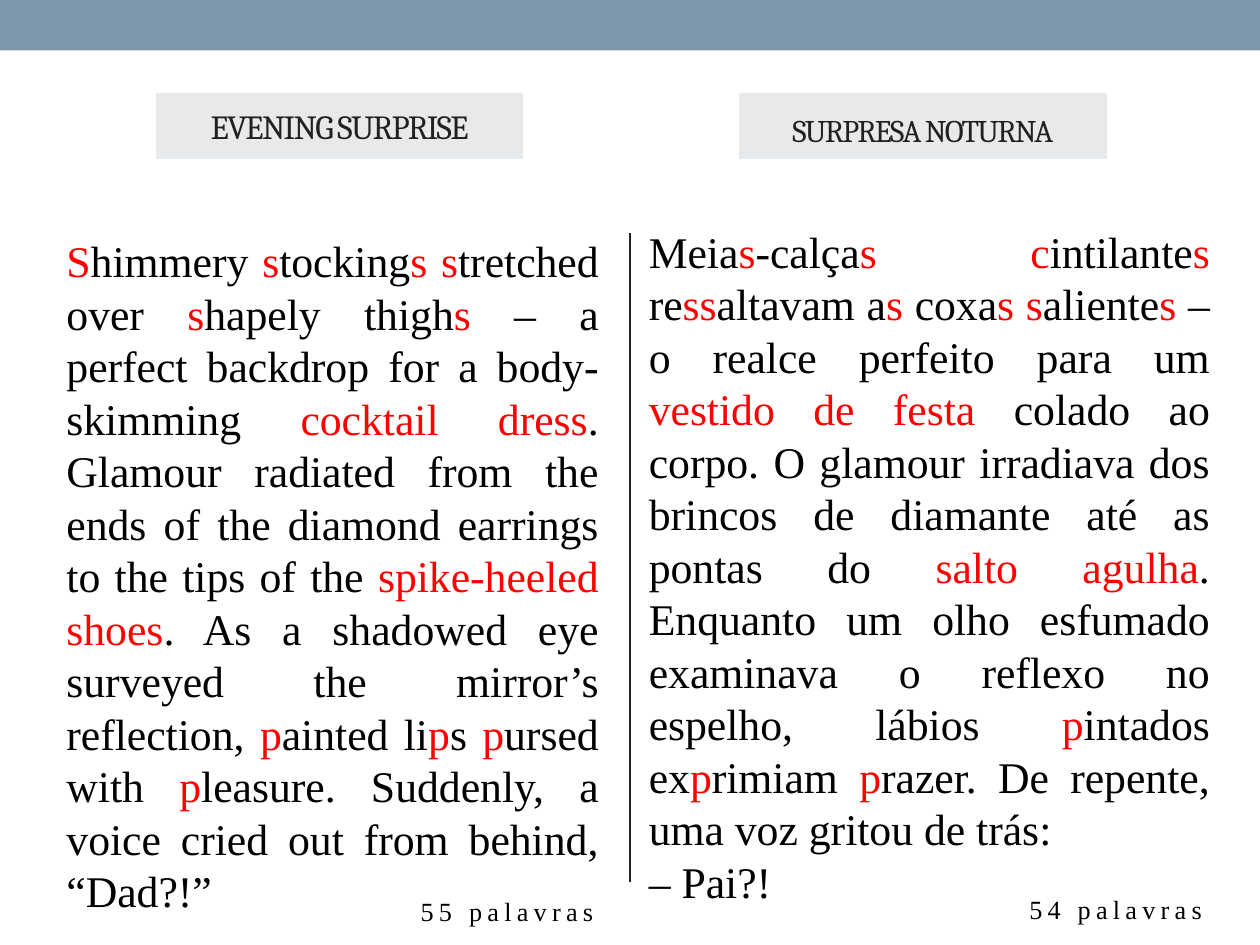
from pptx import Presentation
from pptx import util as u
from pptx.dml.color import RGBColor
from pptx.enum import shapes, text
from pptx.oxml.ns import qn
from lxml import etree

BAR = RGBColor(0x7E, 0x97, 0xAD)
INK = RGBColor(0x1F, 0x21, 0x23)
PANEL = RGBColor(0xE7, 0xE9, 0xEA)
PANEL_EDGE = RGBColor(0xE5, 0xEA, 0xEF)
BLACK = RGBColor(0, 0, 0)
RED = RGBColor(0xFF, 0, 0)

# Content: square brackets enclose the words and letters set in red
COLUMNS = [
    {
        "heading": "EVENING SURPRISE",
        "heading_size": 19.3,
        "heading_spacing": 1.0,
        "heading_left": 3.15,
        "story": [
            "[S]himmery [s]tocking[s s]tretched over [s]hapely thigh[s] – a perfect "
            "backdrop for a body-skimming [cocktail dress]. Glamour radiated from the "
            "ends of the diamond earrings to the tips of the [spike-heeled shoes]. As a "
            "shadowed eye surveyed the mirror’s reflection, [p]ainted li[p]s [p]ursed "
            "with [p]leasure. Suddenly, a voice cried out from behind, “Dad?!”",
        ],
        "story_box": (1.09, 4.52, 11.23, 12.8),
        "anchor": text.MSO_ANCHOR.TOP,
        "top_inset": 0.2,
        "count": "55 palavras",
        "count_at": (8.23, 17.93),
    },
    {
        "heading": "SURPRESA NOTURNA",
        "heading_size": 18,
        "heading_spacing": 1.2,
        "heading_left": 14.91,
        "story": [
            "Meia[s]-calça[s c]intilante[s] re[ss]altavam a[s] coxa[s s]aliente[s] – o "
            "realce perfeito para um [vestido de festa ]colado ao corpo. O glamour "
            "irradiava dos brincos de diamante até as pontas do [salto agulha]. Enquanto "
            "um olho esfumado examinava o reflexo no espelho, lábios [p]intados "
            "ex[p]rimiam [p]razer. De repente, uma voz gritou de trás:",
            "– Pai?!",
        ],
        "story_box": (12.83, 9.12, 11.81, 4.39),
        "anchor": text.MSO_ANCHOR.MIDDLE,
        "top_inset": 0.3,
        "count": "54 palavras",
        "count_at": (20.5, 17.88),
    },
]


def set_values(target, values):
    for name, value in values.items():
        setattr(target, name, value)


def add_run(paragraph, words, size, color, font="Times New Roman", tracking=0):
    run = paragraph.add_run()
    run.text = words
    set_values(run.font, {"size": u.Pt(size), "name": font})
    run.font.color.rgb = color
    if tracking:
        run.font._element.set("spc", str(tracking * 100))


def add_rectangle(slide, box, fill, edge=None):
    shape = slide.shapes.add_shape(shapes.MSO_SHAPE.RECTANGLE, *map(u.Cm, box))
    shape.shadow.inherit = False
    shape.fill.solid()
    shape.fill.fore_color.rgb = fill
    if edge is None:
        shape.line.fill.background()
    else:
        shape.line.color.rgb = edge
        shape.line.width = u.Pt(0.75)
    return shape


def add_heading(slide, column):
    panel = add_rectangle(slide, (column["heading_left"], 1.88, 7.39, 1.32), PANEL, PANEL_EDGE)
    panel.text_frame.vertical_anchor = text.MSO_ANCHOR.MIDDLE
    paragraph = panel.text_frame.paragraphs[0]
    set_values(paragraph, {"alignment": text.PP_ALIGN.CENTER,
                           "line_spacing": column["heading_spacing"]})
    add_run(paragraph, column["heading"], column["heading_size"], INK, "Cambria", -1)


def add_story(slide, column):
    frame = slide.shapes.add_textbox(*map(u.Cm, column["story_box"])).text_frame
    set_values(frame, {"word_wrap": True, "vertical_anchor": column["anchor"],
                       "margin_top": u.Cm(column["top_inset"])})
    for index, story in enumerate(column["story"]):
        paragraph = frame.add_paragraph() if index else frame.paragraphs[0]
        set_values(paragraph, {"alignment": text.PP_ALIGN.JUSTIFY, "line_spacing": u.Pt(30)})
        # Odd pieces lie inside brackets
        for position, piece in enumerate(story.replace("]", "[").split("[")):
            if piece:
                add_run(paragraph, piece, 25, RED if position % 2 else BLACK)


def add_count(slide, column):
    left, top = column["count_at"]
    box = slide.shapes.add_textbox(u.Cm(left), u.Cm(top), u.Cm(4.14), u.Cm(0.89))
    set_values(box.text_frame, {"word_wrap": False,
                                "auto_size": text.MSO_AUTO_SIZE.SHAPE_TO_FIT_TEXT})
    add_run(box.text_frame.paragraphs[0], column["count"], 15, BLACK, tracking=3)


def main():
    presentation = Presentation()
    set_values(presentation, {"slide_width": u.Cm(25.4), "slide_height": u.Cm(19.05)})
    slide = presentation.slides.add_slide(presentation.slide_layouts[6])

    # Top bar and divider between the two languages
    add_rectangle(slide, (0, 0, 25.4, 1.02), BAR)
    divider = slide.shapes.add_connector(
        shapes.MSO_CONNECTOR.STRAIGHT, u.Cm(12.7), u.Cm(4.7), u.Cm(12.7), u.Cm(17.78))
    divider.line.color.rgb = INK
    divider.line.width = u.Pt(1.5)
    etree.SubElement(divider._element.spPr, qn("a:effectLst"))

    # Heading, story and word count of each column
    for column in COLUMNS:
        add_story(slide, column)
        add_count(slide, column)
        add_heading(slide, column)

    presentation.save("out.pptx")


if __name__ == "__main__":
    main()
